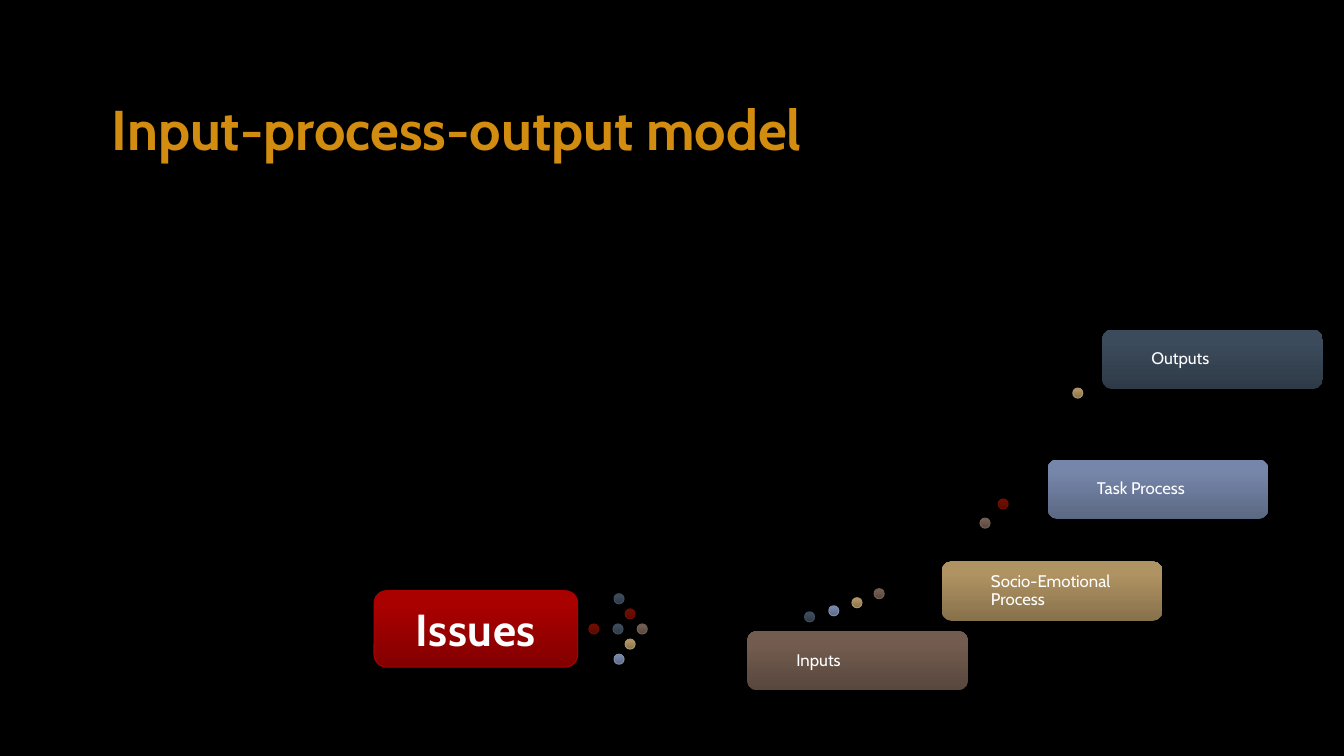
from collections import namedtuple
from copy import deepcopy

from pptx import Presentation
from pptx.dml.color import RGBColor
from pptx.enum import shapes, text
from pptx.oxml.ns import qn
from pptx.util import Inches, Pt

Shade = namedtuple("Shade", "dark middle light line")


def shade(*codes):
    return Shade(*(RGBColor.from_string(code) for code in codes))


BLACK = RGBColor(0x00, 0x00, 0x00)
WHITE = RGBColor(0xFF, 0xFF, 0xFF)
ISSUES_WHITE = RGBColor(0xFE, 0xFE, 0xFE)
ORANGE = RGBColor(0xD2, 0x8C, 0x0F)
RED = shade("820000", "A90000", "A90000", "AA0000")
MAROON = shade("560A00", "6F0E00", "700E00", "700E00")
BROWN = shade("58473D", "735C4F", "745C4F", "705E53")
TAN = shade("87714B", "B09362", "B29461", "AA926A")
BLUE = shade("5B6883", "7686AA", "7687AB", "7C8AA6")
SLATE = shade("2E3A47", "3C4B5C", "3C4C5D", "404C5A")

TITLE_FONT = {"name": "Cabin", "size": Pt(40), "bold": True}
ISSUES_FONT = {"name": "Cabin", "size": Pt(32), "bold": True}
STEP_FONT = {"name": "Cabin", "size": Pt(12), "bold": False}

DOT = 0.1
STEP_WIDTH, STEP_HEIGHT = 2.19, 0.59
STEPS = [
    ("Inputs", 7.41, 6.26, BROWN),
    ("Socio-Emotional Process", 9.34, 5.57, TAN),
    ("Task Process", 10.39, 4.56, BLUE),
    ("Outputs", 10.93, 3.27, SLATE),
]
TRAIL_DOTS = [
    (8.67, 5.84, BROWN), (8.45, 5.93, TAN), (8.22, 6.01, BLUE),
    (7.98, 6.07, SLATE), (9.9, 4.95, MAROON), (9.72, 5.14, BROWN),
    (10.64, 3.85, TAN),
]
# Offsets from the left end of the arrow's shaft
ARROW_DOTS = [
    (0.25, -0.3, SLATE), (0.36, -0.15, MAROON), (0.48, 0, BROWN),
    (0.36, 0.15, TAN), (0.25, 0.3, BLUE), (0.24, 0, SLATE), (0, 0, MAROON),
]


def apply(target, values):
    for name, value in values.items():
        setattr(target, name, value)


def add_shaded(slide, kind, box, colors, outlined=True):
    """Add a preset shape that fades from dark at its foot to light."""
    shape = slide.shapes.add_shape(kind, *(Inches(value) for value in box))
    shape.shadow.inherit = False
    shape.fill.gradient()
    shape.fill.gradient_angle = 90
    stop_list = shape.fill._xPr.find(".//" + qn("a:gsLst"))
    stop_list.append(deepcopy(stop_list[-1]))
    for stop, position, color in zip(shape.fill.gradient_stops, (0, 0.8, 1), colors):
        stop.position = position
        stop.color.rgb = color
    if outlined:
        shape.line.color.rgb = colors.line
        shape.line.width = Pt(0.75)
    else:
        shape.line.fill.background()
    return shape


def write(shape, wording, font, color, align):
    frame = shape.text_frame
    apply(frame, {"text": wording, "word_wrap": True,
                  "vertical_anchor": text.MSO_ANCHOR.MIDDLE})
    paragraph = frame.paragraphs[0]
    paragraph.alignment = align
    run = paragraph.runs[0]
    apply(run.font, font)
    run.font.color.rgb = color
    return paragraph


def add_title(slide, left, top, width, height):
    title = slide.shapes.title
    apply(title, {"left": Inches(left), "top": Inches(top),
                  "width": Inches(width), "height": Inches(height)})
    write(title, "Input-process-output model", TITLE_FONT, ORANGE, text.PP_ALIGN.LEFT)


def add_dots(slide, left, top, dots):
    for dx, dy, colors in dots:
        add_shaded(slide, shapes.MSO_SHAPE.OVAL, (left + dx, top + dy, DOT, DOT), colors)


def add_issues(slide, left, top, width, height):
    """Add the starting box and the dotted arrow that leaves it."""
    box = add_shaded(slide, shapes.MSO_SHAPE.ROUNDED_RECTANGLE,
                     (left, top, width, height), RED)
    paragraph = write(box, "Issues", ISSUES_FONT, ISSUES_WHITE, text.PP_ALIGN.CENTER)
    paragraph.runs[0].font._element.set("spc", "50")
    add_dots(slide, left + width + 0.11, top + (height - DOT) / 2, ARROW_DOTS)


def add_step(slide, wording, left, top, colors):
    step = add_shaded(slide, shapes.MSO_SHAPE.ROUNDED_RECTANGLE,
                      (left, top, STEP_WIDTH, STEP_HEIGHT), colors, outlined=False)
    apply(step.text_frame, {"margin_left": Inches(0.46), "margin_right": Inches(0.05),
                            "margin_top": Inches(0.05), "margin_bottom": Inches(0.05)})
    paragraph = write(step, wording, STEP_FONT, WHITE, text.PP_ALIGN.LEFT)
    paragraph.line_spacing = 0.9


def main():
    deck = Presentation()
    deck.slide_width, deck.slide_height = Inches(13.33), Inches(7.5)
    slide = deck.slides.add_slide(deck.slide_layouts[5])
    slide.background.fill.solid()
    slide.background.fill.fore_color.rgb = BLACK
    add_title(slide, 1.01, 0.89, 11.57, 0.77)
    add_dots(slide, 0, 0, TRAIL_DOTS)
    for step in STEPS:
        add_step(slide, *step)
    add_issues(slide, 3.71, 5.86, 2.02, 0.76)
    deck.save("out.pptx")


if __name__ == "__main__":
    main()
